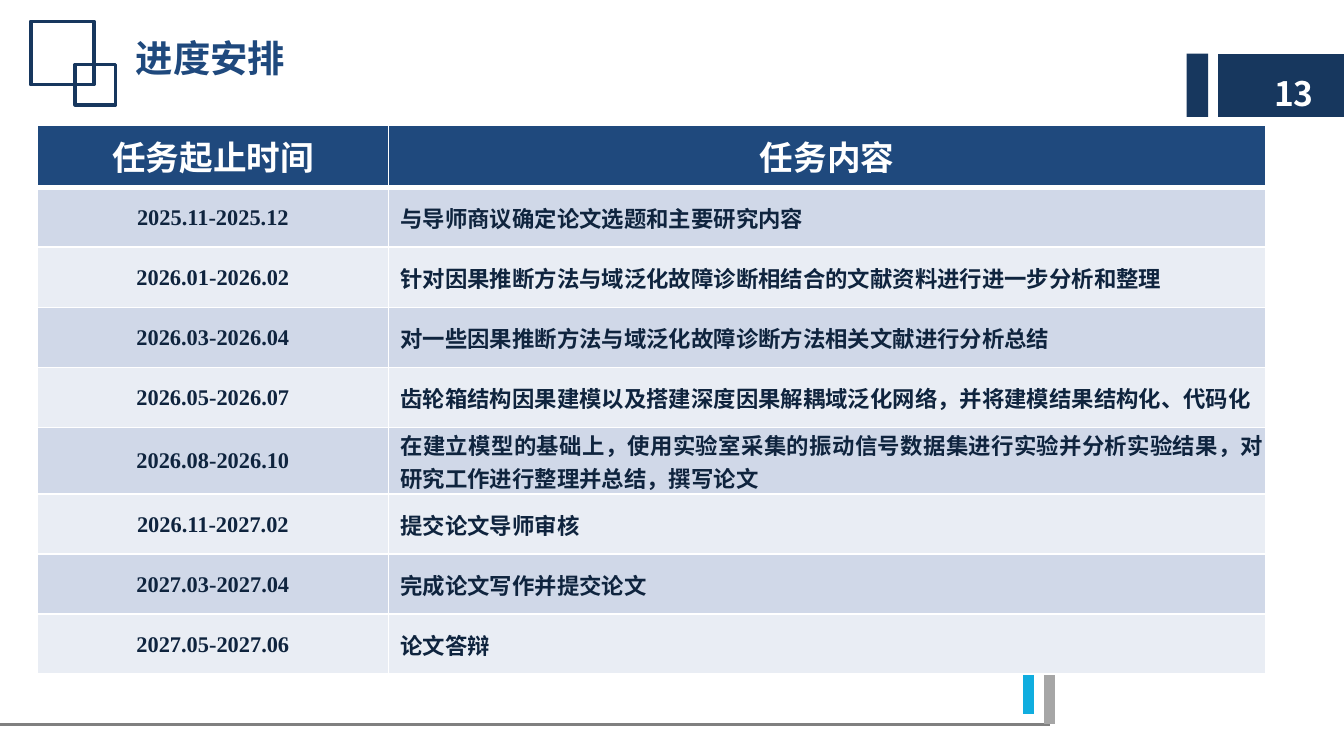
from dataclasses import dataclass
from pptx import Presentation
from pptx.dml.color import RGBColor
from pptx.enum.shapes import MSO_CONNECTOR, MSO_SHAPE
from pptx.enum.text import MSO_ANCHOR, PP_ALIGN
from pptx.oxml.ns import qn
from pptx.util import Inches, Pt
from lxml.etree import SubElement, Element


@dataclass(frozen=True)
class Theme:
    navy: str = "17375E"
    blue: str = "1F497D"
    ink: str = "0F243E"
    white: str = "FFFFFF"
    gray: str = "808080"
    silver: str = "A6A6A6"
    cyan: str = "10ADDF"
    bands: tuple = ("D0D8E8", "E9EDF4")
    serif: str = "Times New Roman"
    sans: str = "Calibri"
    asian: str = "Noto Sans CJK SC"
    title: int = 20
    head: int = 18
    body: int = 12


THEME = Theme()
HEADS = ("任务起止时间", "任务内容")
TASKS = (
    ("2025.11-2025.12", "与导师商议确定论文选题和主要研究内容"),
    ("2026.01-2026.02", "针对因果推断方法与域泛化故障诊断相结合的文献资料进行进一步分析和整理"),
    ("2026.03-2026.04", "对一些因果推断方法与域泛化故障诊断方法相关文献进行分析总结"),
    ("2026.05-2026.07", "齿轮箱结构因果建模以及搭建深度因果解耦域泛化网络，并将建模结果结构化、代码化"),
    ("2026.08-2026.10", "在建立模型的基础上，使用实验室采集的振动信号数据集进行实验并分析实验结果，对研究工作进行整理并总结，撰写论文"),
    ("2026.11-2027.02", "提交论文导师审核"),
    ("2027.03-2027.04", "完成论文写作并提交论文"),
    ("2027.05-2027.06", "论文答辩"),
)


def color(code):
    return RGBColor.from_string(code)


def add_run(para, text, size, font, code):
    run = para.add_run()
    run.text = text
    run.font.size = Pt(size)
    run.font.bold = True
    run.font.name = font
    run.font.color.rgb = color(code)
    SubElement(run.font._element, qn("a:ea"), typeface=THEME.asian)


def set_pad(item, left, top, right, bottom):
    item.margin_left, item.margin_top = Inches(left), Inches(top)
    item.margin_right, item.margin_bottom = Inches(right), Inches(bottom)


def add_box(slide, kind, area, fill=None, line=None):
    box = slide.shapes.add_shape(kind, *map(Inches, area))
    box.shadow.inherit = False
    if fill:
        box.fill.solid()
        box.fill.fore_color.rgb = color(fill)
    else:
        box.fill.background()
    if line:
        box.line.color.rgb = color(line)
        box.line.width = Pt(2)
    else:
        box.line.fill.background()


def add_line(slide, ends, code, width):
    line = slide.shapes.add_connector(MSO_CONNECTOR.STRAIGHT, *map(Inches, ends))
    line.line.color.rgb = color(code)
    line.line.width = Pt(width)
    SubElement(line._element.spPr, qn("a:effectLst"))


def add_decor(slide):
    for area in ((0.23, 0.16, 0.47, 0.47), (0.56, 0.48, 0.3, 0.3)):
        add_box(slide, MSO_SHAPE.RECTANGLE, area, line=THEME.navy)
    add_box(slide, MSO_SHAPE.FLOWCHART_PROCESS, (9.06, 0.4, 0.94, 0.47), THEME.navy)
    add_box(slide, MSO_SHAPE.RECTANGLE, (8.83, 0.4, 0.16, 0.47), THEME.navy)
    add_line(slide, (0, 5.39, 7.81, 5.39), THEME.gray, 1.25)
    add_line(slide, (7.81, 5.39, 7.81, 4.92), THEME.silver, 5.75)
    add_line(slide, (7.65, 5.31, 7.65, 5), THEME.cyan, 5.75)


def set_edges(cell, base):
    props = cell._tc.get_or_add_tcPr()
    widths = (("L", 1), ("R", 1), ("T", 1), ("B", base))
    for spot, (side, width) in enumerate(widths):
        edge = Element(qn(f"a:ln{side}"), w=str(Pt(width)))
        fill = SubElement(edge, qn("a:solidFill"))
        SubElement(fill, qn("a:srgbClr"), val=THEME.white)
        props.insert(spot, edge)


def fill_cell(cell, code, base=1):
    cell.fill.solid()
    cell.fill.fore_color.rgb = color(code)
    set_edges(cell, base)
    para = cell.text_frame.paragraphs[0]
    para.alignment = PP_ALIGN.CENTER
    return para


def add_plan(slide):
    tall, head = Inches(3.97), Inches(0.39)
    area = (Inches(0.28), Inches(0.93), Inches(9.14), tall)
    table = slide.shapes.add_table(len(TASKS) + 1, len(HEADS), *area).table
    for col, width in zip(table.columns, (2.61, 6.53)):
        col.width = Inches(width)
    for num, row in enumerate(table.rows):
        row.height = (tall - head) // len(TASKS) if num else head
    for col, text in enumerate(HEADS):
        para = fill_cell(table.cell(0, col), THEME.blue, 3)
        add_run(para, text, THEME.head, THEME.sans, THEME.white)
    for num, task in enumerate(TASKS):
        for col, text in enumerate(task):
            cell = table.cell(num + 1, col)
            para = fill_cell(cell, THEME.bands[num % 2])
            cell.vertical_anchor = MSO_ANCHOR.MIDDLE
            set_pad(cell, 0.01, 0.01, 0.01, 0)
            if col:
                para.alignment = PP_ALIGN.JUSTIFY
                props = para._p.get_or_add_pPr()
                props.set("marL", str(Inches(0.08)))
                props.set("indent", "0")
            add_run(para, text, THEME.body, THEME.serif, THEME.ink)


def add_title(slide):
    title = slide.shapes.title
    title.left, title.top = Inches(0.91), Inches(0.21)
    title.width, title.height = Inches(3.18), Inches(0.44)
    frame = title.text_frame
    frame.vertical_anchor = MSO_ANCHOR.MIDDLE
    para = frame.paragraphs[0]
    para.alignment = PP_ALIGN.LEFT
    add_run(para, "进度安排", THEME.title, THEME.serif, THEME.blue)


def add_number(slide):
    area = map(Inches, (9.09, 0.45, 0.71, 0.48))
    frame = slide.shapes.add_textbox(*area).text_frame
    frame.word_wrap = False
    frame.vertical_anchor = MSO_ANCHOR.MIDDLE
    set_pad(frame, 0.39, 0, 0, 0)
    add_run(frame.paragraphs[0], "13", THEME.head, THEME.asian, THEME.white)


def main():
    deck = Presentation()
    deck.slide_width = Inches(10)
    deck.slide_height = deck.slide_width * 9 // 16
    slide = deck.slides.add_slide(deck.slide_layouts[5])
    add_decor(slide)
    add_plan(slide)
    add_title(slide)
    add_number(slide)
    deck.save("out.pptx")


if __name__ == "__main__":
    main()
